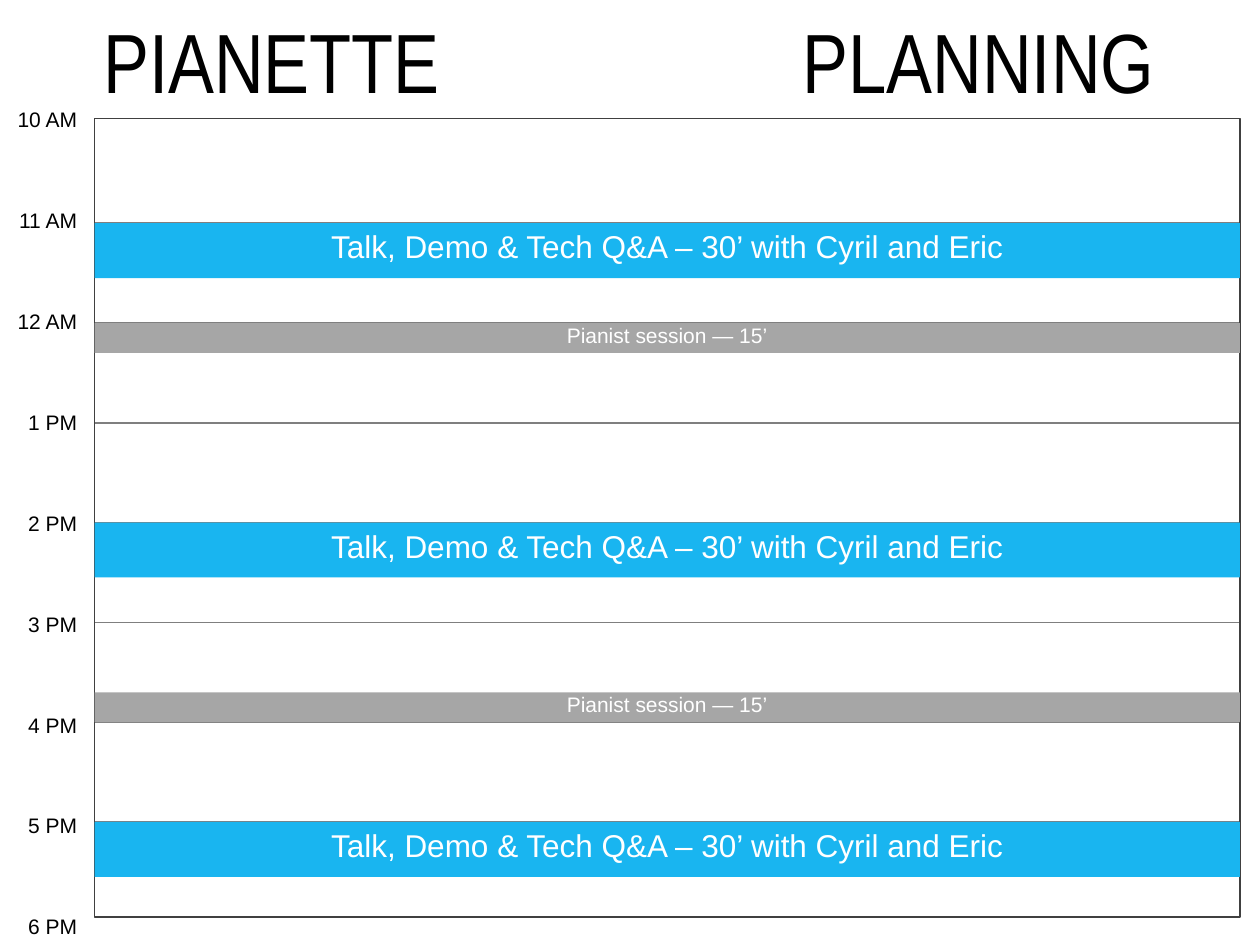
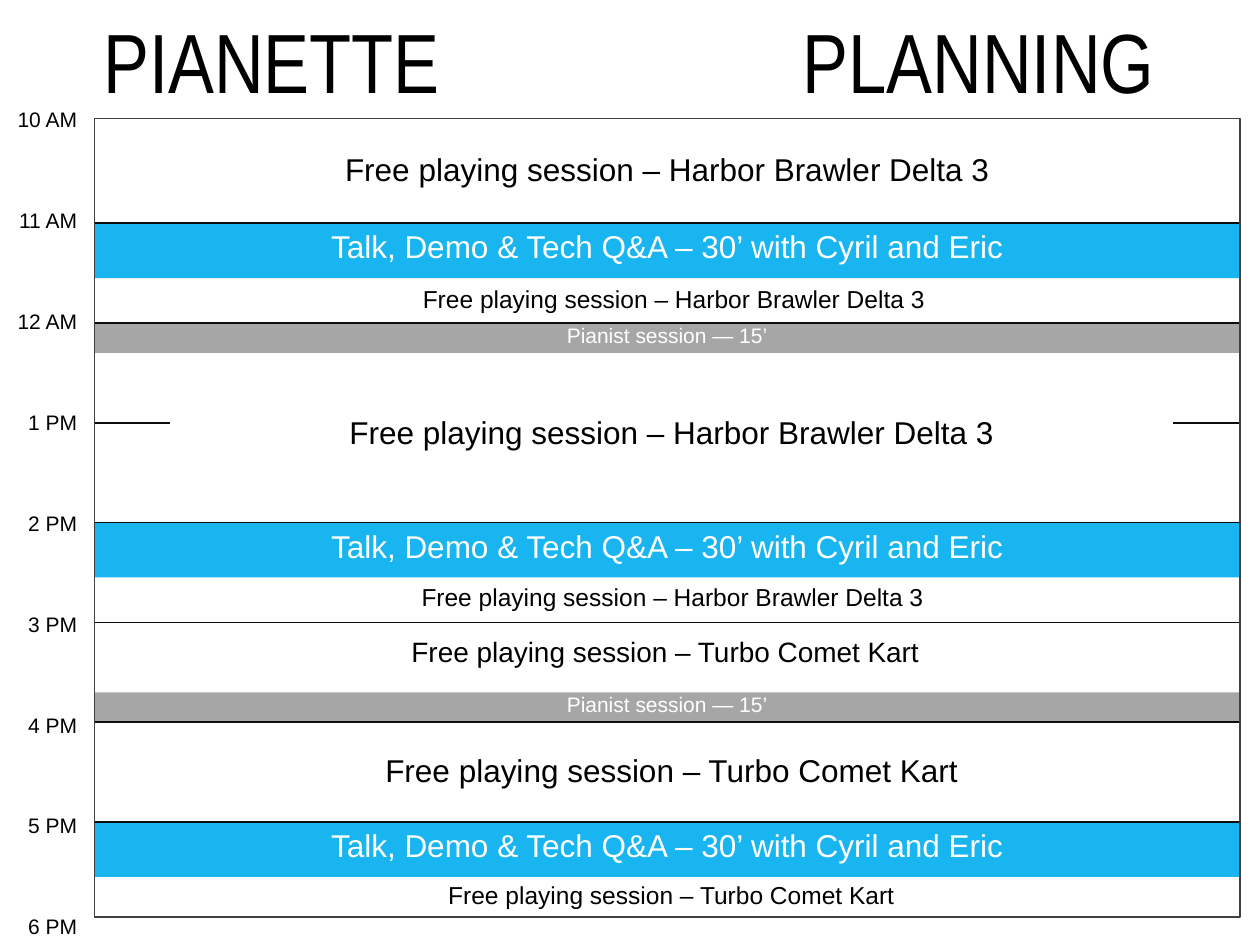
from dataclasses import dataclass

from lxml.etree import SubElement
from pptx import Presentation
from pptx.dml.color import RGBColor
from pptx.enum.shapes import MSO_CONNECTOR, MSO_SHAPE
from pptx.enum.text import MSO_ANCHOR, PP_ALIGN
from pptx.oxml.ns import qn
from pptx.util import Inches, Pt

# The slide is 100 columns wide; one row of the schedule is one hour.
COL = 0.1
ROW = 0.792
TEN_AM = 0.98
LEFT, WIDTH = 7.5, 90.9
FRAME_TOP, FRAME_HEIGHT = 0.94, 6.34

BLACK, WHITE = "000000", "FFFFFF"
BLUE, GRAY, FRAME_GRAY = "19B5F0", "A6A6A6", "404040"

HOURS = ["10 AM", "11 AM", "12 AM", "1 PM", "2 PM", "3 PM", "4 PM", "5 PM", "6 PM"]
LABEL_GAP = 43.22
TALK = "Talk, Demo & Tech Q&A – 30’ with Cyril and Eric"
PIANIST = "Pianist session — 15’"
FIGHT = "Free playing session – Harbor Brawler Delta 3"
KART = "Free playing session – Turbo Comet Kart"


@dataclass(frozen=True)
class Session:
    """Start and length count hours from 10 AM; left and width count columns."""
    text: str
    start: float
    hours: float
    size: int
    fill: str | None = None
    color: str = BLACK
    left: float = 13.5
    width: float = 79.6


def band(text: str, start: float, hours: float, size: int, fill: str) -> Session:
    return Session(text, start, hours, size, fill, WHITE, LEFT, WIDTH)


BANDS = [
    *(band(PIANIST, start, 0.3, 12, GRAY) for start in (2, 5.7)),
    *(band(TALK, start, 0.55, 18, BLUE) for start in (1, 4, 7)),
]
FREE_SESSIONS = [
    Session(FIGHT, 0.23, 0.55, 18, left=LEFT, width=WIDTH),
    Session(FIGHT, 2.53, 1.21, 18, WHITE),
    Session(KART, 6.16, 0.72, 18, WHITE),
    Session(KART, 7.54, 0.44, 14),
    Session(FIGHT, 1.53, 0.52, 14, left=13.7),
    Session(KART, 5.11, 0.44, 16, left=19.9, width=65.8),
    Session(FIGHT, 4.52, 0.52, 14, left=13.6),
]


def rgb(color: str) -> RGBColor:
    return RGBColor.from_string(color)


def hour_y(hour: float) -> float:
    return TEN_AM + hour * ROW


def box(left: float, top: float, width: float, height: float) -> list[int]:
    """Turn columns across and inches down into lengths."""
    return [Inches(v) for v in (left * COL, top, width * COL, height)]


def write(p, text: str, size: int, color: str = BLACK, font: str = "Arial", **paragraph_format) -> None:
    for name, value in paragraph_format.items():
        setattr(p, name, value)
    r = p.add_run()
    r.text = text
    for name, value in {"name": font, "size": Pt(size)}.items():
        setattr(r.font, name, value)
    r.font.color.rgb = rgb(color)


def add_text_frame(s, left: float, top: float, width: float, height: float, inset: float):
    tf = s.shapes.add_textbox(*box(left, top, width, height)).text_frame
    tf.word_wrap = True
    tf.margin_left = Inches(inset)
    return tf


def add_title(s) -> None:
    p = add_text_frame(s, 3.3, 0.03, 94.1, 1.7, 0.49).paragraphs[0]
    write(p, "PIANETTE\tPLANNING", 48, font="Arial Narrow", alignment=PP_ALIGN.LEFT)
    tabs = SubElement(p._p.get_or_add_pPr(), qn("a:tabLst"))
    SubElement(tabs, qn("a:tab"), pos=str(Inches(5.55)), algn="l")


def add_hour_lines(s, color: str) -> None:
    for hour in range(1, len(HOURS) - 1):
        y = Inches(hour_y(hour))
        line = s.shapes.add_connector(
            MSO_CONNECTOR.STRAIGHT, Inches(LEFT * COL), y, Inches((LEFT + WIDTH) * COL), y)
        line.line.color.rgb = rgb(color)
        line.line.width = Pt(1)
        SubElement(line._element.spPr, qn("a:effectLst"))


def add_frame(s) -> None:
    sp = s.shapes.add_shape(MSO_SHAPE.RECTANGLE, *box(LEFT, FRAME_TOP, WIDTH, FRAME_HEIGHT))
    sp.shadow.inherit = False
    sp.fill.background()
    sp.line.color.rgb = rgb(FRAME_GRAY)
    sp.line.width = Pt(1)


def add_hour_labels(s) -> None:
    tf = add_text_frame(s, 0, 0.8, 7.1, 6.66, 0)
    for i, hour in enumerate(HOURS):
        p = tf.add_paragraph() if i else tf.paragraphs[0]
        write(p, hour, 12, alignment=PP_ALIGN.RIGHT, space_before=Pt(LABEL_GAP if i else 0))


def add_sessions(s, sessions: list[Session]) -> None:
    for item in sessions:
        place = box(item.left, hour_y(item.start), item.width, item.hours * ROW)
        if item.fill:
            sp = s.shapes.add_shape(MSO_SHAPE.RECTANGLE, *place)
            sp.shadow.inherit = False
            sp.fill.solid()
            sp.fill.fore_color.rgb = rgb(item.fill)
            sp.line.fill.background()
        else:
            sp = s.shapes.add_textbox(*place)
        tf = sp.text_frame
        tf.word_wrap = True
        tf.vertical_anchor = MSO_ANCHOR.MIDDLE
        write(tf.paragraphs[0], item.text, item.size, item.color,
              alignment=PP_ALIGN.CENTER, line_spacing=0.7)


def add_schedule(s, line_color: str) -> None:
    add_title(s)
    add_hour_lines(s, line_color)
    add_frame(s)
    add_hour_labels(s)


def main() -> None:
    prs = Presentation()
    prs.slide_width, prs.slide_height = Inches(10), Inches(7.5)
    blank = prs.slide_layouts[6]

    s = prs.slides.add_slide(blank)
    add_schedule(s, "7F7F7F")
    add_sessions(s, BANDS)

    s = prs.slides.add_slide(blank)
    add_sessions(s, BANDS)
    add_schedule(s, "0D0D0D")
    add_sessions(s, FREE_SESSIONS)

    prs.save("out.pptx")


if __name__ == "__main__":
    main()
